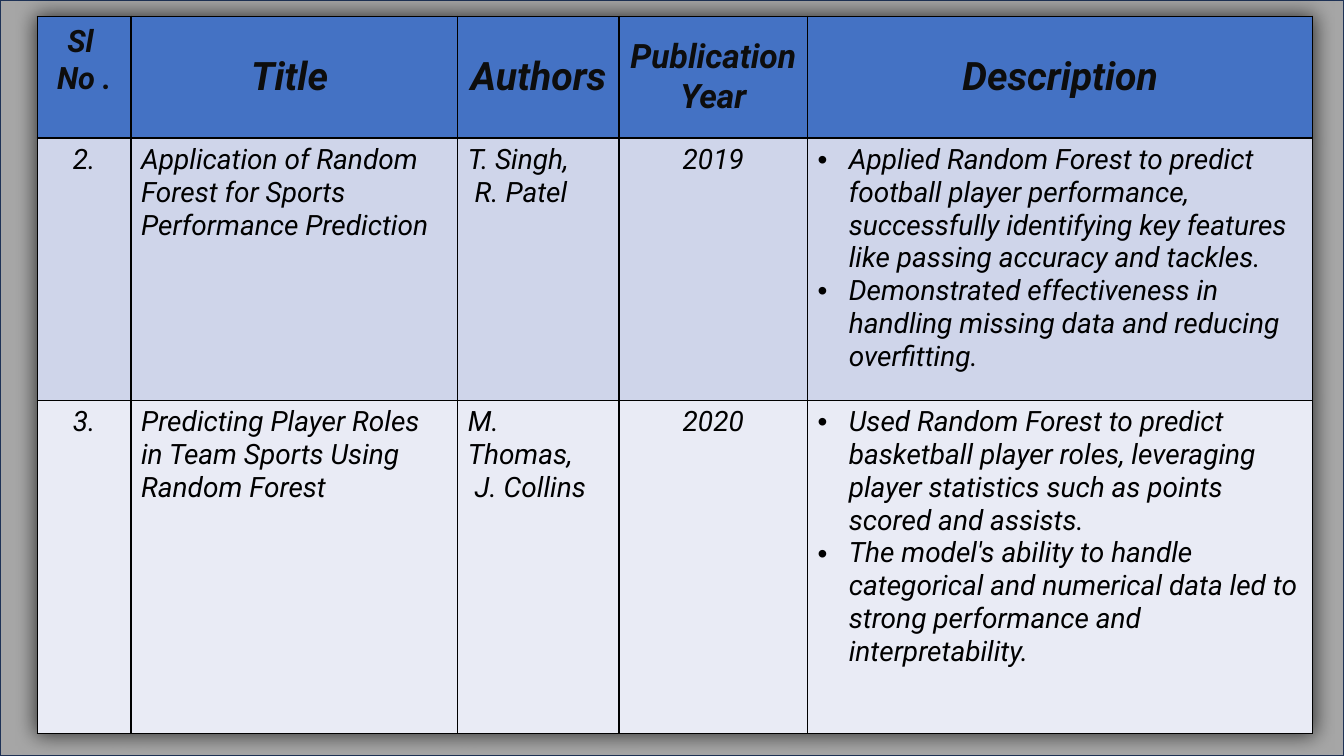
from lxml import etree
from pptx import Presentation
from pptx.dml.color import RGBColor
from pptx.enum.shapes import MSO_SHAPE
from pptx.enum.text import MSO_ANCHOR, PP_ALIGN
from pptx.oxml.ns import qn
from pptx.util import Inches, Pt

RECTANGLE = MSO_SHAPE.RECTANGLE
TOP, MIDDLE = MSO_ANCHOR.TOP, MSO_ANCHOR.MIDDLE
LEFT, CENTER = PP_ALIGN.LEFT, PP_ALIGN.CENTER

COLUMN_WIDTHS = [0.93, 3.24, 1.6, 1.87, 5.01]
ROW_HEIGHTS = [1.21, 2.6, 3.31]
ROW_FILLS = ["4472C4", "CFD5EA", "E9EBF5"]
HEADER_SIZES = [22, 28, 28, 24, 28]
BODY_ALIGNMENTS = [CENTER, LEFT, LEFT, CENTER, LEFT]
DESCRIPTION_COLUMN = 4
PAPERS = [
    [["Sl ", "No ."], ["Title "], ["Authors"], ["Publication Year"], ["Description"]],
    [
        ["2."],
        ["Application of Random Forest for Sports Performance Prediction"],
        ["T. Singh,", " R. Patel"],
        ["2019"],
        ["Applied Random Forest to predict football player performance, "
         "successfully identifying key features like passing accuracy and tackles.",
         "Demonstrated effectiveness in handling missing data and reducing overfitting."],
    ],
    [
        ["3."],
        ["Predicting Player Roles in Team Sports Using Random Forest"],
        ["M. Thomas,", " J. Collins"],
        ["2020"],
        ["Used Random Forest to predict basketball player roles, leveraging "
         "player statistics such as points scored and assists.",
         "The model's ability to handle categorical and numerical data led to "
         "strong performance and interpretability."],
    ],
]


def color(value):
    return RGBColor.from_string(value)


def add_element(parent, tag, **attributes):
    return etree.SubElement(parent, qn(tag), attributes)


class SlideBuilder:
    font_name = "Roboto"
    line_color = "000000"
    bullet_indent = Inches(0.31)

    def __init__(self, page):
        self.page = page

    def backdrop(self, width, height, fill, outline):
        box = self.page.shapes.add_shape(RECTANGLE, 0, 0, width, height)
        box.shadow.inherit = False
        box.fill.solid()
        box.fill.fore_color.rgb = color(fill)
        box.line.color.rgb = color(outline)
        box.line.width = Pt(1)

    def table(self, left, top, widths, heights):
        frame = self.page.shapes.add_table(
            len(heights), len(widths), Inches(left), Inches(top),
            Inches(sum(widths)), Inches(sum(heights)))
        table = frame.table
        for column, width in zip(table.columns, widths):
            column.width = Inches(width)
        for row, height in zip(table.rows, heights):
            row.height = Inches(height)
        self.soft_shadow(table)
        return table

    def soft_shadow(self, table):
        properties = table._tbl.tblPr
        effects = add_element(properties, "a:effectLst")
        properties.insert(0, effects)
        shadow = add_element(effects, "a:outerShdw", blurRad=str(Inches(0.2)),
                             algn="tl", rotWithShape="0")
        shade = add_element(shadow, "a:srgbClr", val="000000")
        add_element(shade, "a:alpha", val="70000")

    def borders(self, cell):
        properties = cell._tc.get_or_add_tcPr()
        for position, side in enumerate(["a:lnL", "a:lnR", "a:lnT", "a:lnB"]):
            line = add_element(properties, side, w=str(Pt(1)))
            properties.insert(position, line)
            fill = add_element(line, "a:solidFill")
            add_element(fill, "a:srgbClr", val=self.line_color)

    def bullet(self, para):
        properties = para._p.get_or_add_pPr()
        properties.set("marL", str(self.bullet_indent))
        properties.set("indent", str(-self.bullet_indent))
        add_element(properties, "a:buFont", typeface="Arial")
        add_element(properties, "a:buChar", char="•")

    def cell(self, cell, lines, fill, text_color, anchor, alignment, font, bulleted=False):
        cell.fill.solid()
        cell.fill.fore_color.rgb = color(fill)
        cell.vertical_anchor = anchor
        self.borders(cell)
        frame = cell.text_frame
        for index, text in enumerate(lines):
            para = frame.paragraphs[0] if index == 0 else frame.add_paragraph()
            para.alignment = alignment
            if bulleted:
                self.bullet(para)
            span = para.add_run()
            span.text = text
            for name, value in {"name": self.font_name, "italic": True, **font}.items():
                setattr(span.font, name, value)
            span.font.color.rgb = color(text_color)


def main():
    deck = Presentation()
    deck.slide_width, deck.slide_height = Inches(13.33), Inches(7.5)
    builder = SlideBuilder(deck.slides.add_slide(deck.slide_layouts[6]))
    builder.backdrop(deck.slide_width, deck.slide_height, "A6A6A6", "1E3256")

    table = builder.table(0.37, 0.16, COLUMN_WIDTHS, ROW_HEIGHTS)
    for row, (entries, fill) in enumerate(zip(PAPERS, ROW_FILLS)):
        for column, lines in enumerate(entries):
            cell = table.cell(row, column)
            if row == 0:
                font = {"size": Pt(HEADER_SIZES[column]), "bold": True}
                builder.cell(cell, lines, fill, "0D0D0D", MIDDLE, CENTER, font)
            else:
                font = {"size": Pt(20), "bold": False}
                builder.cell(cell, lines, fill, "000000", TOP, BODY_ALIGNMENTS[column],
                             font, bulleted=column == DESCRIPTION_COLUMN)
    # The serial number heading sits above the middle of its cell.
    table.cell(0, 0).margin_bottom = Inches(0.38)

    deck.save("out.pptx")


if __name__ == "__main__":
    main()
